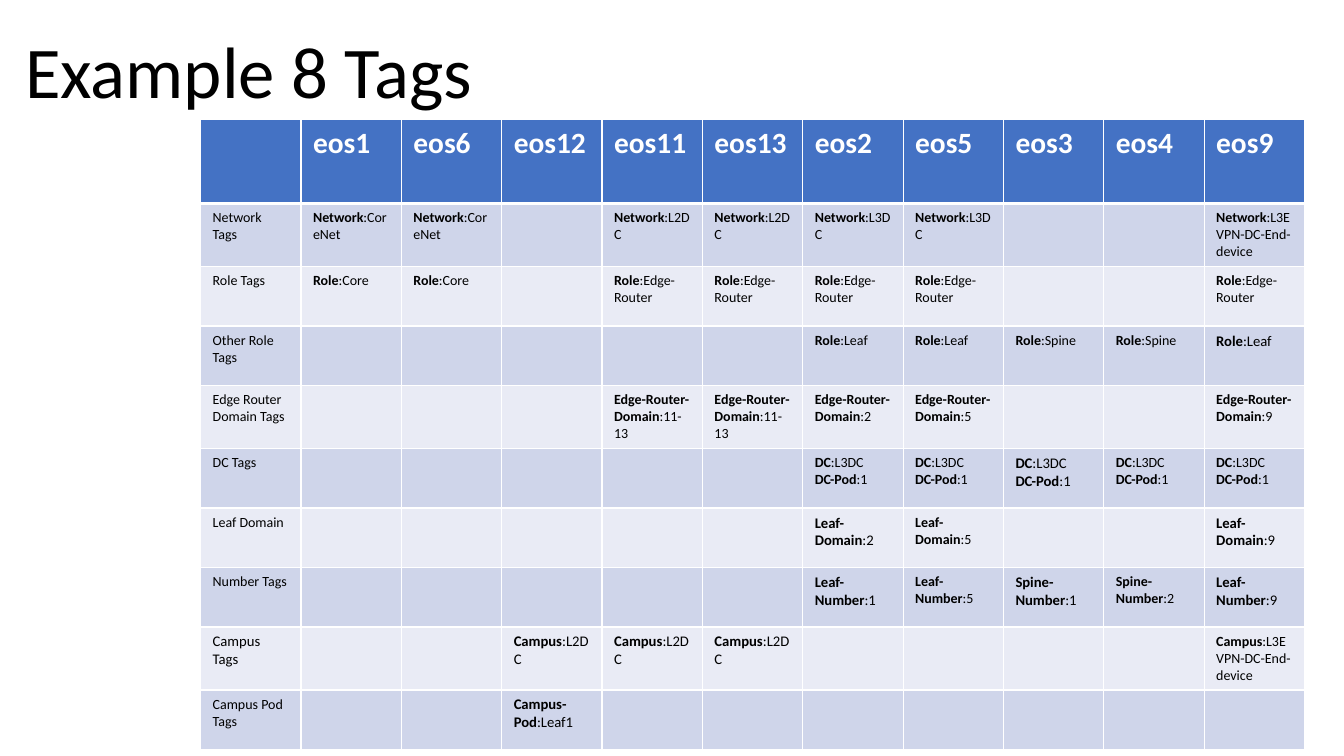
from lxml import etree
from pptx import Presentation
from pptx.dml.color import RGBColor
from pptx.enum.text import MSO_ANCHOR, PP_ALIGN
from pptx.oxml.ns import qn
from pptx.util import Inches, Pt

HOSTS = ["eos1", "eos6", "eos12", "eos11", "eos13", "eos2", "eos5", "eos3", "eos4", "eos9"]
TAGS = [
    ("Network Tags", {"Network:CoreNet": "eos1 eos6", "Network:L2DC": "eos11 eos13",
                      "Network:L3DC": "eos2 eos5", "Network:L3EVPN-DC-End-device": "eos9"}),
    ("Role Tags", {"Role:Core": "eos1 eos6", "Role:Edge-Router": "eos11 eos13 eos2 eos5 eos9"}),
    ("Other Role Tags", {"Role:Leaf": "eos2 eos5 eos9", "Role:Spine": "eos3 eos4"}),
    ("Edge Router Domain Tags", {"Edge-Router-Domain:11-13": "eos11 eos13",
                                 "Edge-Router-Domain:2": "eos2",
                                 "Edge-Router-Domain:5": "eos5",
                                 "Edge-Router-Domain:9": "eos9"}),
    ("DC Tags", {"DC:L3DC\nDC-Pod:1": "eos2 eos5 eos3 eos4 eos9"}),
    ("Leaf Domain", {"Leaf-Domain:2": "eos2", "Leaf-Domain:5": "eos5", "Leaf-Domain:9": "eos9"}),
    ("Number Tags", {"Leaf-Number:1": "eos2", "Leaf-Number:5": "eos5", "Spine-Number:1": "eos3",
                     "Spine-Number:2": "eos4", "Leaf-Number:9": "eos9"}),
    ("Campus Tags", {"Campus:L2DC": "eos12 eos11 eos13", "Campus:L3EVPN-DC-End-device": "eos9"}),
    ("Campus Pod Tags", {"Campus-Pod:Leaf1": "eos12"}),
]
LARGER = {(3, 10), (5, 8), (6, 6), (6, 10), (7, 6), (7, 8), (7, 10),
          (8, 0), (8, 3), (8, 4), (8, 5), (9, 3)}


def color(value):
    return RGBColor.from_string(value)


def add_run(p, text, size, fill, bold=False):
    r = p.add_run()
    r.text = text
    for name, value in {"name": "Calibri", "size": Pt(size), "bold": bold}.items():
        setattr(r.font, name, value)
    r.font.color.rgb = color(fill)


def set_borders(cell, widths):
    tcPr = cell._tc.get_or_add_tcPr()
    for i, (side, width) in enumerate(widths.items()):
        ln = etree.Element(qn(f"a:ln{side}"), w=str(Pt(width)))
        fill = etree.SubElement(ln, qn("a:solidFill"))
        etree.SubElement(fill, qn("a:srgbClr"), val="FFFFFF")
        tcPr.insert(i, ln)


def add_title(s, left, top, width, height):
    title = s.shapes.title
    box = {"left": left, "top": top, "width": width, "height": height}
    for name, value in box.items():
        setattr(title, name, Inches(value))
    tf = title.text_frame
    tf.word_wrap = True
    tf.vertical_anchor = MSO_ANCHOR.MIDDLE
    p = tf.paragraphs[0]
    p.alignment = PP_ALIGN.LEFT
    p.line_spacing = 0.9
    add_run(p, "Example 8 Tags", 52, "000000")


def fill_cell(cell, text, row, col):
    margins = {"margin_left": 0.12, "margin_right": 0.12, "margin_top": 0.06, "margin_bottom": 0.06}
    for name, value in margins.items():
        setattr(cell, name, Inches(value))
    cell.fill.solid()
    cell.fill.fore_color.rgb = color("4472C4" if row == 0 else "CFD5EA" if row % 2 else "E9EBF5")
    set_borders(cell, {"L": 1, "R": 1, "T": 3 if row == 1 else 1, "B": 3 if row == 0 else 1})
    if not text:
        return
    size = 10.5 if (row, col) in LARGER else 10
    tf = cell.text_frame
    for i, line in enumerate(text.split("\n")):
        p = tf.add_paragraph() if i else tf.paragraphs[0]
        key, colon, value = line.partition(":")
        if row == 0:
            add_run(p, line, 21, "FFFFFF", True)
        elif colon:
            add_run(p, key, size, "000000", True)
            add_run(p, colon + value, size, "000000")
        else:
            add_run(p, line, size, "000000")


def add_tag_table(s, left, top, width, header_height, row_height):
    rows = [[""] + HOSTS]
    for label, tags in TAGS:
        by_host = {host: tag for tag, hosts in tags.items() for host in hosts.split()}
        rows.append([label] + [by_host.get(host, "") for host in HOSTS])
    height = header_height + row_height * len(TAGS)
    table = s.shapes.add_table(len(rows), len(rows[0]), Inches(left), Inches(top),
                               Inches(width), Inches(height)).table
    for column in table.columns:
        column.width = Inches(width / len(rows[0]))
    for i, texts in enumerate(rows):
        table.rows[i].height = Inches(row_height if i else header_height)
        for j, text in enumerate(texts):
            fill_cell(table.cell(i, j), text, i, j)


def main():
    prs = Presentation()
    prs.slide_width, prs.slide_height = Inches(13.33), Inches(7.5)
    s = prs.slides.add_slide(prs.slide_layouts[5])
    add_title(s, 0.15, 0.12, 11.5, 1.24)
    add_tag_table(s, 1.99, 1.18, 10.95, 0.84, 0.59)
    prs.save("out.pptx")


if __name__ == "__main__":
    main()
